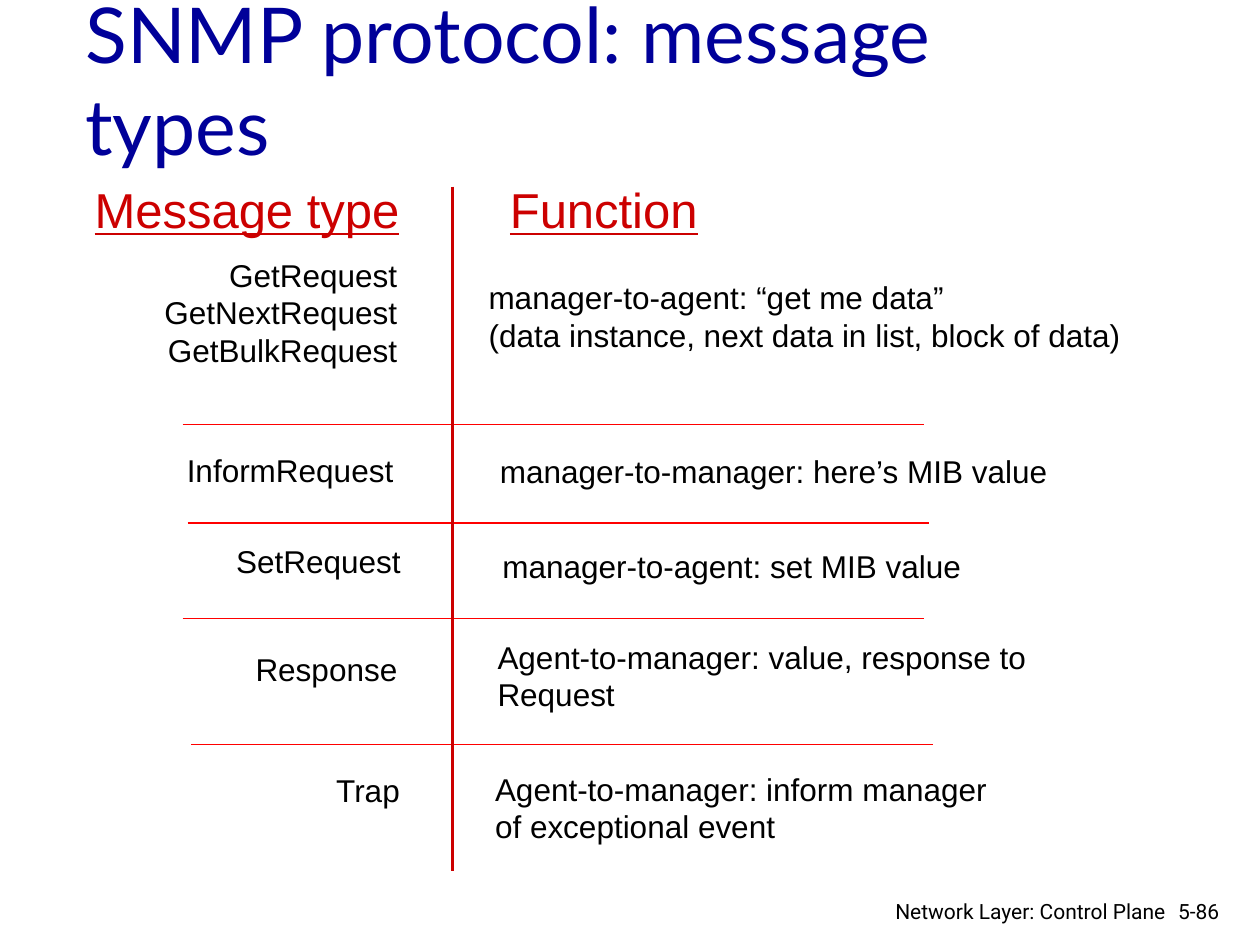
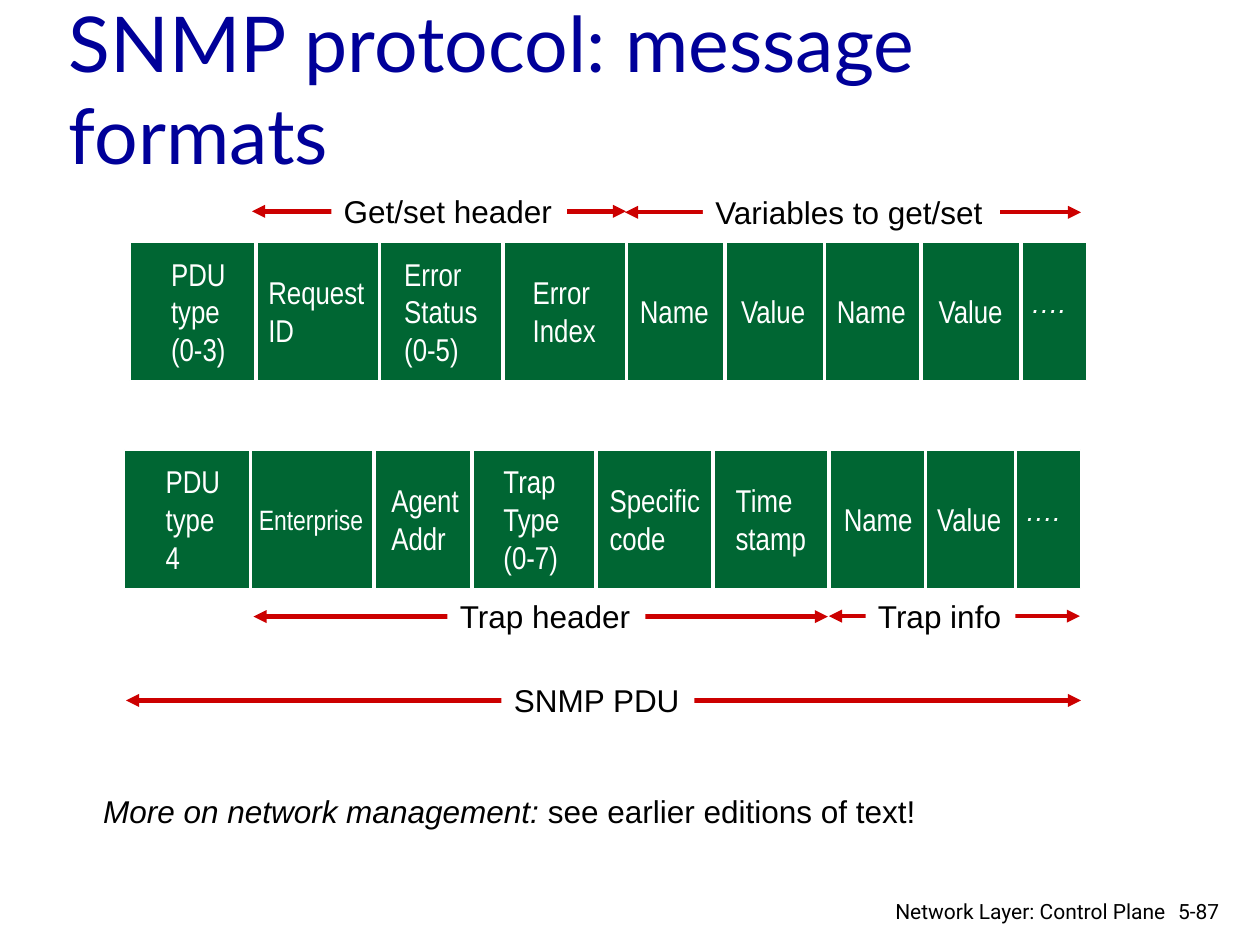
from collections import namedtuple
from dataclasses import dataclass

from lxml.etree import SubElement
from pptx import Presentation
from pptx.dml.color import RGBColor as Rgb
from pptx.enum.shapes import MSO_CONNECTOR as Connector, MSO_SHAPE as Preset
from pptx.enum.text import MSO_ANCHOR as Anchor, PP_ALIGN as Align
from pptx.oxml.ns import qn
from pptx.util import Cm, Pt

# All lengths are centimetres.
Box = namedtuple("Box", "left top width height")
Row = namedtuple("Row", "kinds right kind_top function left function_top")
Field = namedtuple("Field", "text left width size", defaults=[18])


@dataclass(frozen=True)
class Theme:
    """Colours, fonts and type sizes shared by the slides."""
    title: str = "000099"
    ink: str = "000000"
    paper: str = "FFFFFF"
    accent: str = "CC0000"
    rule: str = "FF0000"
    packet: str = "006633"
    title_font: str = "Lato"
    body_font: str = "Arial"
    field_font: str = "Arial Narrow"
    footer_font: str = "Roboto"
    title_size: int = 44
    heading_size: int = 28
    body_size: int = 18
    dots_size: int = 16
    footer_size: int = 12


THEME = Theme()
LINE_HEIGHT = 0.76
PADDING = 0.26


def color(code):
    """Turn a hex code into a colour."""
    return Rgb.from_string(code)


def lengths(box):
    """Return the four sides of a box as slide lengths."""
    return [Cm(side) for side in box]


def write(shape, text, size=THEME.body_size, ink=THEME.ink,
          font=THEME.body_font, align=Align.LEFT, anchor=Anchor.TOP,
          wrap=True, underline=None, italic=None, spacing=None):
    """Fill a shape with text, one paragraph a line, and format it."""
    frame = shape.text_frame
    frame.text = text
    frame.word_wrap = wrap
    frame.vertical_anchor = anchor
    for para in frame.paragraphs:
        para.alignment = align
        if spacing:
            para.line_spacing = Pt(spacing)
        for span in para.runs:
            style = span.font
            style.name, style.size = font, Pt(size)
            style.color.rgb = color(ink)
            style.underline, style.italic = underline, italic
    return frame


def add_text(page, box, text, **style):
    """Add a text box."""
    return write(page.shapes.add_textbox(*lengths(box)), text, **style)


def add_rect(page, box, fill, line=None):
    """Add a flat rectangle."""
    shape = page.shapes.add_shape(Preset.RECTANGLE, *lengths(box))
    shape.shadow.inherit = False
    shape.fill.solid()
    shape.fill.fore_color.rgb = color(fill)
    if line:
        shape.line.color.rgb = color(line)
        shape.line.width = Pt(0.75)
    else:
        shape.line.fill.background()
    return shape


def add_line(page, start, end, ink, width, arrows=False):
    """Add a straight line, with arrowheads at both ends if asked."""
    ends = [Cm(place) for place in (*start, *end)]
    line = page.shapes.add_connector(Connector.STRAIGHT, *ends)
    line.line.color.rgb = color(ink)
    line.line.width = Pt(width)
    if arrows:
        for end_tag in ("a:headEnd", "a:tailEnd"):
            SubElement(line.line._get_or_add_ln(), qn(end_tag),
                       type="triangle")
    SubElement(line._element.spPr, qn("a:effectLst"))


def add_page(deck, title, title_box, number):
    """Add a blank slide with its title and footer."""
    page = deck.slides.add_slide(deck.slide_layouts[6])
    add_text(page, title_box, title, size=THEME.title_size, ink=THEME.title,
             font=THEME.title_font, anchor=Anchor.MIDDLE)
    footer = dict(size=THEME.footer_size, font=THEME.footer_font)
    add_text(page, Box(23.5, 17.98, 1.52, 0.76), number, **footer)
    add_text(page, Box(17.7, 17.98, 6.05, 0.66),
             "Network Layer: Control Plane", align=Align.RIGHT, **footer)
    return page


def text_height(text):
    """Height of a body text box with the given lines."""
    return LINE_HEIGHT * (text.count("\n") + 1) + PADDING


def message_table(page, box, rows, rules):
    """Draw the two open columns, split by one upright and short rules."""
    heading = dict(size=THEME.heading_size, ink=THEME.accent, underline=True)
    add_text(page, Box(box.left + 0.57, box.top, 6.73, 1.45), "Message type",
             align=Align.RIGHT, wrap=False, **heading)
    add_text(page, Box(box.left + 9.03, box.top, 4.34, 1.45), "Function",
             wrap=False, **heading)
    for row in rows:
        kind_width = 7.16
        add_text(page, Box(box.left + row.right - kind_width,
                           box.top + row.kind_top, kind_width,
                           text_height(row.kinds)),
                 row.kinds, align=Align.RIGHT)
        add_text(page, Box(box.left + row.left, box.top + row.function_top,
                           box.width - row.left, text_height(row.function)),
                 row.function)
    for left, top in rules:
        start = box.left + left, box.top + top
        add_line(page, start, (start[0] + 14.94, start[1]), THEME.rule, 1)
    middle = box.left + 8.12
    add_line(page, (middle, box.top + 0.26),
             (middle, box.top + box.height), THEME.accent, 2)


def packet(page, box, fields, dividers):
    """Draw a packet bar with its fields and white dividers."""
    add_rect(page, box, THEME.packet, THEME.paper)
    for offset in dividers:
        left = box.left + offset
        add_line(page, (left, box.top), (left, box.top + box.height),
                 THEME.paper, 2)
    for field in fields:
        add_text(page, Box(box.left + field.left, box.top, field.width,
                           box.height),
                 field.text, size=field.size, ink=THEME.paper,
                 font=THEME.field_font, anchor=Anchor.MIDDLE, wrap=False)
    add_text(page, Box(box.left + 17.91, box.top + 1, 1.37, 0.72), "….",
             size=THEME.dots_size, ink=THEME.paper, italic=True,
             wrap=False, spacing=12)


def extent(page, box, label, label_left, label_width):
    """Draw a double arrow across the box, broken by its label."""
    middle = box.top + box.height / 2
    add_line(page, (box.left, middle), (box.left + box.width, middle),
             THEME.accent, 2.5, arrows=True)
    plate = add_rect(page, Box(box.left + label_left, box.top, label_width,
                               box.height), THEME.paper)
    write(plate, label, wrap=False)


def closing_note(page, box, lead, rest):
    """Write a line that opens in italics."""
    frame = add_text(page, box, lead, italic=True, wrap=False)
    span = frame.paragraphs[0].add_run()
    span.text = rest
    span.font.name, span.font.size = THEME.body_font, Pt(THEME.body_size)
    span.font.color.rgb = color(THEME.ink)


def message_types(deck):
    """Build the slide of message types."""
    page = add_page(deck, "SNMP protocol: message types",
                    Box(1.47, 0, 21.59, 3.18), "5-86")
    rows = [
        Row("GetRequest\nGetNextRequest\nGetBulkRequest", 7.26, 1.53,
            "manager-to-agent: “get me data”\n"
            "(data instance, next data in list, block of data)", 8.6, 1.99),
        Row("InformRequest", 7.18, 5.47,
            "manager-to-manager: here’s MIB value", 8.83, 5.49),
        Row("SetRequest", 7.33, 7.3,
            "manager-to-agent: set MIB value", 8.88, 7.4),
        Row("Response", 7.26, 9.48,
            "Agent-to-manager: value, response to\nRequest", 8.78, 9.23),
        Row("Trap", 7.31, 11.92,
            "Agent-to-manager: inform manager\nof exceptional event",
            8.73, 11.89),
    ]
    rules = [(2.68, 5.06), (2.78, 7.04), (2.68, 8.97), (2.86, 11.51)]
    message_table(page, Box(1, 3.5, 22.4, 14.05), rows, rules)


def message_formats(deck):
    """Build the slide of packet layouts."""
    page = add_page(deck, "SNMP protocol: message formats",
                    Box(1.14, 0.61, 21.59, 2.31), "5-87")
    packet(page, Box(2.62, 4.88, 19.28, 2.79), [
        Field("PDU\ntype\n(0-3)", 0.58, 1.63),
        Field("Request\nID", 2.54, 2.46),
        Field("Error\nStatus\n(0-5)", 5.28, 2.01),
        Field("Error\nIndex", 7.87, 1.8),
        Field("Name", 10.03, 1.93),
        Field("Value", 12.07, 1.83),
        Field("Name", 14, 1.93),
        Field("Value", 16.05, 1.83),
    ], [2.54, 5.03, 7.52, 10.01, 11.99, 14, 15.95, 17.96])
    packet(page, Box(2.51, 9.07, 19.28, 2.79), [
        Field("PDU\ntype\n4", 0.58, 1.63),
        Field("Enterprise", 2.46, 2.64, 16),
        Field("Agent\nAddr", 5.13, 1.88),
        Field("Trap\nType\n(0-7)", 7.39, 1.65),
        Field("Specific\ncode", 9.53, 2.36),
        Field("Time\nstamp", 12.07, 1.96),
        Field("Name", 14.25, 1.93),
        Field("Value", 16.13, 1.83),
    ], [2.54, 5.03, 7.01, 9.5, 11.86, 14.2, 16.15, 17.96])
    for left, top, width, label, label_left, label_width in [
        (5.08, 3.75, 7.54, "Get/set header", 1.6, 4.75),
        (12.6, 3.77, 9.19, "Variables to get/set", 1.57, 5.99),
        (5.11, 11.92, 11.58, "Trap header", 3.91, 3.99),
        (16.71, 11.91, 5.06, "Trap info", 0.74, 3.02),
        (2.54, 13.61, 19.25, "SNMP PDU", 7.57, 3.89),
    ]:
        extent(page, Box(left, top, width, 1.02), label, label_left,
               label_width)
    closing_note(page, Box(1.83, 15.85, 17.04, 1.02),
                 "More on network management: ",
                 "see earlier editions of text!")


deck = Presentation()
deck.slide_width, deck.slide_height = Cm(25.4), Cm(19.05)
message_types(deck)
message_formats(deck)
deck.save("out.pptx")
